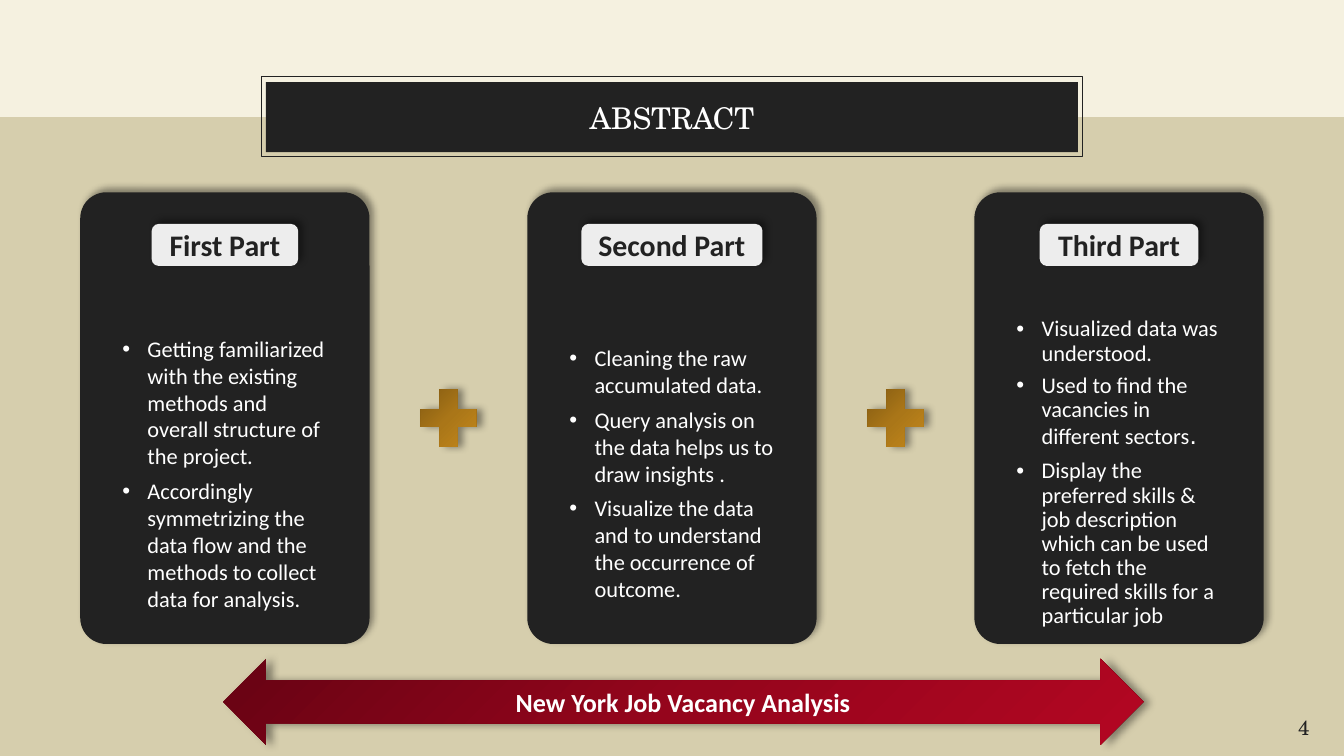
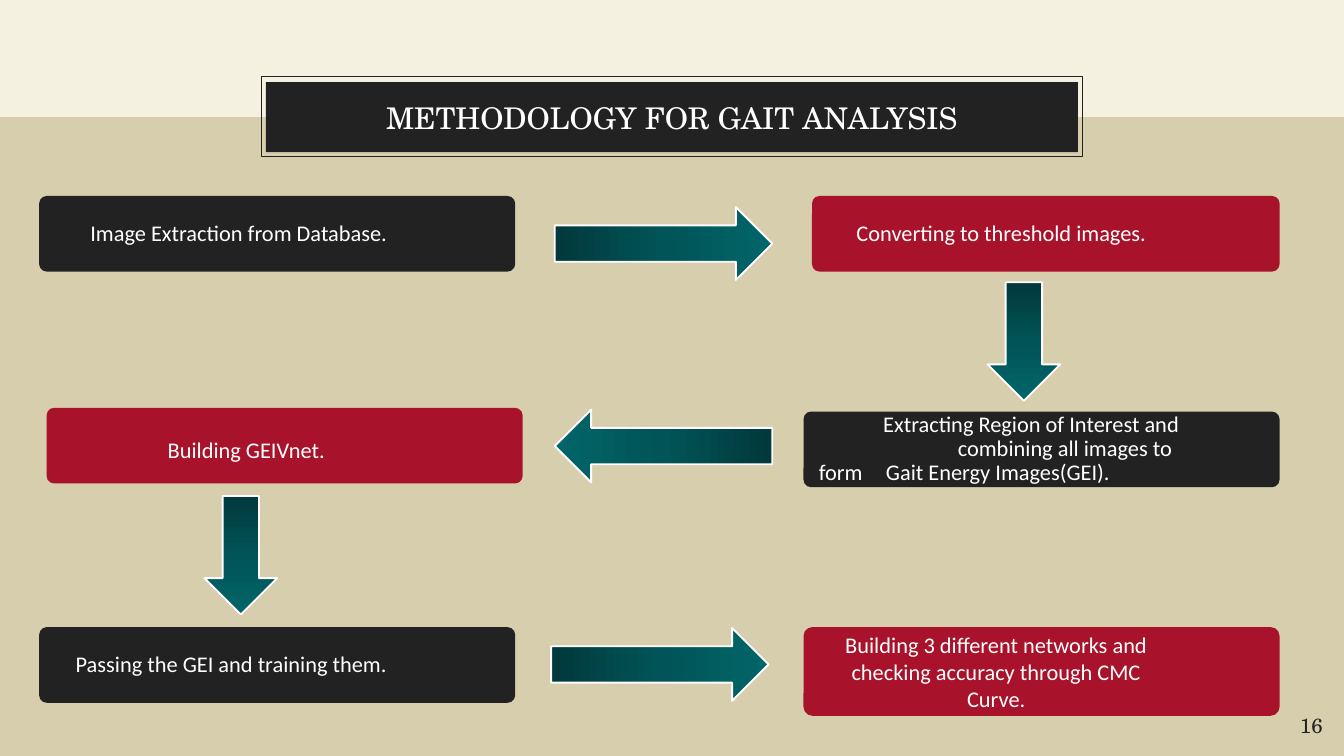
from dataclasses import dataclass
from typing import NamedTuple, Optional

import lxml.etree
import pptx
import pptx.dml.color
import pptx.enum.shapes
import pptx.enum.text
import pptx.oxml.ns
import pptx.presentation
import pptx.shapes.autoshape
import pptx.shapes.base
import pptx.slide
import pptx.text.text
import pptx.util

Pt = pptx.util.Pt
qn = pptx.oxml.ns.qn
Shapes = pptx.enum.shapes.MSO_SHAPE
Align = pptx.enum.text.PP_ALIGN
Shape = pptx.shapes.autoshape.Shape
Slide = pptx.slide.Slide


@dataclass(frozen=True)
class Theme:
    sand: str = "D6CEAD"
    cream: str = "F5F1E0"
    ink: str = "222222"
    white: str = "FFFFFF"
    label: str = "EDEDED"
    crimson: str = "A8122A"
    red_gradient: tuple = ("670313", "95051C", "B30622")
    gold_gradient: tuple = ("755110", "AA7618", "CC8E1D")
    teal_gradient: tuple = ("01393C", "015457", "026569")
    heading_font: str = "TeX Gyre Schola"
    body_font: str = "Calibri"
    mark_font: str = "Arial"
    title_size: float = 16
    label_size: float = 16
    banner_size: float = 14
    mark_size: float = 14
    body_size: float = 12
    number_size: float = 11


THEME = Theme()


class Box(NamedTuple):
    left: float
    top: float
    width: float
    height: float


class Insets(NamedTuple):
    left: float = 7.2
    top: float = 3.6
    right: float = 7.2
    bottom: float = 3.6


class Bullet(NamedTuple):
    text: str
    space_before: float = 4.2
    end_mark: str = ""


class Card(NamedTuple):
    label: str
    label_width: float
    bullets: list[Bullet]
    line_spacing: float = 1.0


class Line(NamedTuple):
    text: str
    indent: Optional[float] = None  # None centres the line
    tab_stop: Optional[float] = None


class Step(NamedTuple):
    box: Box
    color: str
    insets: Insets
    lines: list[Line]
    line_spacing: float = 0.9


class FlowArrow(NamedTuple):
    center_x: float
    center_y: float
    length: float
    rotation: float = 0
    flipped: bool = False


FIRST_CARD = Box(43, 103, 155, 242)
CARD_PITCH = 239.5
CARD_INSET = 22.5
LIST_TOP, LIST_HEIGHT = 165, 177
LABEL_TOP, LABEL_HEIGHT = 120, 22.5
PLUS_WIDTH, PLUS_HEIGHT = 40.5, 42
ARROW_HEIGHT = 39

CARDS = [
    Card("First Part", 78.5, [
        Bullet("Getting familiarized with the existing methods and overall structure of the project.", 0),
        Bullet("Accordingly symmetrizing the data flow and the methods to collect data for analysis."),
    ]),
    Card("Second Part", 97, [
        Bullet("Cleaning the raw accumulated data.", 0),
        Bullet("Query analysis on the data helps us to draw insights ."),
        Bullet("Visualize the data and to understand the occurrence of outcome."),
    ]),
    Card("Third Part", 85, [
        Bullet("Visualized data was understood.", 0),
        Bullet("Used to ﬁnd the vacancies in different sectors", end_mark="."),
        Bullet("Display the preferred skills & job description which can be used to fetch "
               "the required skills for a particular job", 4.9),
    ], 0.9),
]

STEPS = [
    Step(Box(21, 105, 255, 40.5), THEME.ink, Insets(5, 5, 46, 5),
         [Line("Image Extraction from Database.")]),
    Step(Box(435, 105, 250.5, 40.5), THEME.crimson, Insets(5, 5, 52.5, 5),
         [Line("Converting to threshold images.")]),
    Step(Box(430.5, 220.5, 255, 40.5), THEME.ink, Insets(5, 5, 5, 5), [
        Line("Extracting Region of Interest and", 36.5),
        Line("combining all images to", 76.5),
        Line("form\tGait Energy Images(GEI).", 2, 74),
    ]),
    Step(Box(25, 218.5, 255, 40.5), THEME.crimson, Insets(8, 14, 49, 8),
         [Line("Building GEIVnet.")]),
    Step(Box(21, 336, 255, 40.5), THEME.ink, Insets(8, 8, 57, 8),
         [Line("Passing the GEI and training them.")]),
    Step(Box(430.5, 336, 255, 47.5), THEME.crimson, Insets(7.5, 8, 56, 8),
         [Line("Building 3 different networks and checking accuracy through CMC Curve.")], 1.0),
]

FLOW_ARROWS = [
    FlowArrow(355.5, 130.5, 116.5),
    FlowArrow(548.5, 183, 63.5, rotation=90),
    FlowArrow(355.5, 239, 116.5, flipped=True),
    FlowArrow(129, 297.5, 63.5, rotation=90),
    FlowArrow(353.5, 356, 116.5),
]


def rgb(color: str) -> pptx.dml.color.RGBColor:
    return pptx.dml.color.RGBColor.from_string(color)


def place(shape: pptx.shapes.base.BaseShape, box: Box) -> None:
    shape.left, shape.top, shape.width, shape.height = (Pt(length) for length in box)


def add_shape(slide: Slide, kind: Shapes, box: Box, color: Optional[str] = None,
              corner: Optional[float] = None) -> Shape:
    """Add a preset shape without line or shadow."""
    shape = slide.shapes.add_shape(kind, *(Pt(length) for length in box))
    shape.shadow.inherit = False
    shape.line.fill.background()
    if color:
        shape.fill.solid()
        shape.fill.fore_color.rgb = rgb(color)
    else:
        shape.fill.background()
    if corner is not None:
        shape.adjustments[0] = corner
    return shape


def add_shadow(shape: Shape, angle: int) -> None:
    effects = shape.element.spPr.find(qn("a:effectLst"))
    shadow = lxml.etree.SubElement(
        effects, qn("a:outerShdw"), blurRad=str(Pt(4)), dist=str(Pt(3)),
        dir=str(angle * 60000), algn="bl", rotWithShape="0")
    color = lxml.etree.SubElement(shadow, qn("a:srgbClr"), val="000000")
    lxml.etree.SubElement(color, qn("a:alpha"), val="40000")


def fill_gradient(shape: Shape, colors: tuple, angle: int) -> None:
    """Spread the colours evenly along a clockwise angle."""
    shape.fill.gradient()
    shape.fill.gradient_angle = (360 - angle) % 360
    stops = shape.element.spPr.find(qn("a:gradFill")).find(qn("a:gsLst"))
    for stop in list(stops):
        stops.remove(stop)
    for index, color in enumerate(colors):
        position = index * 100000 // (len(colors) - 1)
        stop = lxml.etree.SubElement(stops, qn("a:gs"), pos=str(position))
        lxml.etree.SubElement(stop, qn("a:srgbClr"), val=color)


def set_frame(shape: pptx.shapes.base.BaseShape, insets: Insets,
              anchor=pptx.enum.text.MSO_ANCHOR.MIDDLE) -> pptx.text.text.TextFrame:
    frame = shape.text_frame
    frame.word_wrap = True
    frame.auto_size = pptx.enum.text.MSO_AUTO_SIZE.NONE
    frame.vertical_anchor = anchor
    frame.margin_left, frame.margin_top, frame.margin_right, frame.margin_bottom = map(Pt, insets)
    return frame


def format_run(run, size: float, color: str, font: str = THEME.body_font, bold: bool = False) -> None:
    run.font.name, run.font.size, run.font.bold = font, Pt(size), bold
    run.font.color.rgb = rgb(color)


def set_centered(frame: pptx.text.text.TextFrame, text: str, size: float, color: str,
                 font: str = THEME.body_font, bold: bool = False) -> None:
    frame.text = text
    paragraph = frame.paragraphs[0]
    paragraph.alignment = Align.CENTER
    format_run(paragraph.runs[0], size, color, font, bold)


def indent(paragraph, left: float, first: float = 0):
    properties = paragraph._p.get_or_add_pPr()
    properties.set("marL", str(Pt(left)))
    properties.set("indent", str(Pt(first)))
    return properties


def next_paragraph(frame: pptx.text.text.TextFrame, index: int):
    return frame.add_paragraph() if index else frame.paragraphs[0]


def build_master(presentation: pptx.presentation.Presentation, slide: Slide) -> None:
    """Give the master its background, top band and title frame."""
    master = presentation.slide_master
    master.background.fill.solid()
    master.background.fill.fore_color.rgb = rgb(THEME.sand)
    band = add_shape(slide, Shapes.RECTANGLE, Box(0, 0, 720, 62.7), THEME.cream)
    frame = add_shape(slide, Shapes.RECTANGLE, Box(140, 41, 440, 43))
    frame.line.color.rgb = rgb(THEME.ink)
    frame.line.width = Pt(0.75)
    for shape in (band, frame):
        master.shapes.element.append(shape.element)


def add_heading(slide: Slide, title: str, number: str, number_box: Box) -> None:
    heading = slide.shapes.title
    place(heading, Box(142.5, 44, 435, 37.5))
    heading.fill.solid()
    heading.fill.fore_color.rgb = rgb(THEME.ink)
    margins = Insets(7.2, 7.2, 7.2, 7.2)
    set_centered(set_frame(heading, margins), title, THEME.title_size, THEME.white, THEME.heading_font)
    number_text = slide.shapes.add_textbox(*(Pt(length) for length in number_box))
    set_centered(set_frame(number_text, margins, pptx.enum.text.MSO_ANCHOR.TOP),
                 number, THEME.number_size, THEME.ink, THEME.heading_font)


def write_bullets(frame: pptx.text.text.TextFrame, card: Card) -> None:
    for index, bullet in enumerate(card.bullets):
        paragraph = next_paragraph(frame, index)
        paragraph.text = bullet.text
        format_run(paragraph.runs[0], THEME.body_size, THEME.white)
        if bullet.end_mark:
            mark = paragraph.add_run()
            mark.text = bullet.end_mark
            format_run(mark, THEME.mark_size, THEME.white, THEME.mark_font)
        paragraph.alignment = Align.LEFT
        paragraph.line_spacing = card.line_spacing
        paragraph.space_before = Pt(bullet.space_before)
        properties = indent(paragraph, 13.5, -13.5)
        color = lxml.etree.SubElement(properties, qn("a:buClr"))
        lxml.etree.SubElement(color, qn("a:srgbClr"), val=THEME.white)
        lxml.etree.SubElement(properties, qn("a:buFont"), typeface=THEME.mark_font)
        lxml.etree.SubElement(properties, qn("a:buChar"), char="•")


def add_card(slide: Slide, card: Card, left: float, body) -> None:
    """Draw a card and lay the body placeholder over it."""
    box = FIRST_CARD._replace(left=left)
    add_shadow(add_shape(slide, Shapes.ROUNDED_RECTANGLE, box, THEME.ink, 0.09), 315)
    label_left = left + (box.width - card.label_width) / 2
    label = add_shape(slide, Shapes.ROUNDED_RECTANGLE,
                      Box(label_left, LABEL_TOP, card.label_width, LABEL_HEIGHT), THEME.label, 0.17)
    add_shadow(label, 315)
    set_centered(set_frame(label, Insets()), card.label, THEME.label_size, THEME.ink, bold=True)
    slide.shapes.element.append(body.element)
    place(body, Box(left + CARD_INSET, LIST_TOP, box.width - 2 * CARD_INSET, LIST_HEIGHT))
    write_bullets(set_frame(body, Insets(0, 0, 0, 0)), card)


def add_glossy(slide: Slide, kind: Shapes, box: Box, colors: tuple) -> Shape:
    shape = add_shape(slide, kind, box)
    fill_gradient(shape, colors, 45)
    add_shadow(shape, 0)
    return shape


def build_abstract(slide: Slide) -> None:
    add_heading(slide, "ABSTRACT", "4", Box(677, 376, 43, 24))
    bodies = [shape for shape in slide.placeholders if shape.placeholder_format.idx > 0]
    for spare in bodies[len(CARDS):]:
        spare.element.getparent().remove(spare.element)
    for index, card in enumerate(CARDS):
        left = FIRST_CARD.left + index * CARD_PITCH
        add_card(slide, card, left, bodies[index])
        if index:
            gap_center = left - (CARD_PITCH - FIRST_CARD.width) / 2
            plus = Box(gap_center - PLUS_WIDTH / 2, 203, PLUS_WIDTH, PLUS_HEIGHT)
            add_glossy(slide, Shapes.MATH_PLUS, plus, THEME.gold_gradient)
    banner = add_glossy(slide, Shapes.LEFT_RIGHT_ARROW, Box(119.5, 353, 493, 46), THEME.red_gradient)
    set_centered(set_frame(banner, Insets()), "New York Job Vacancy Analysis",
                 THEME.banner_size, THEME.white, bold=True)


def add_step(slide: Slide, step: Step) -> None:
    shape = add_shape(slide, Shapes.ROUNDED_RECTANGLE, step.box, step.color, 0.1)
    frame = set_frame(shape, step.insets)
    for index, line in enumerate(step.lines):
        paragraph = next_paragraph(frame, index)
        paragraph.text = line.text
        paragraph.line_spacing = step.line_spacing
        paragraph.alignment = Align.CENTER if line.indent is None else Align.LEFT
        format_run(paragraph.runs[0], THEME.body_size, THEME.white)
        properties = indent(paragraph, line.indent or 0)
        if line.tab_stop:
            tabs = lxml.etree.SubElement(properties, qn("a:tabLst"))
            lxml.etree.SubElement(tabs, qn("a:tab"), pos=str(Pt(line.tab_stop)), algn="l")


def add_flow_arrow(slide: Slide, arrow: FlowArrow) -> None:
    box = Box(arrow.center_x - arrow.length / 2, arrow.center_y - ARROW_HEIGHT / 2,
              arrow.length, ARROW_HEIGHT)
    shape = add_shape(slide, Shapes.RIGHT_ARROW, box)
    fill_gradient(shape, THEME.teal_gradient, 0)
    shape.line.color.rgb = rgb(THEME.white)
    shape.line.width = Pt(1)
    shape.rotation = arrow.rotation
    if arrow.flipped:
        shape.element.spPr.find(qn("a:xfrm")).set("flipH", "1")


def build_methodology(slide: Slide) -> None:
    add_heading(slide, "METHODOLOGY FOR GAIT ANALYSIS", "16", Box(685.5, 375, 34, 24))
    for step in STEPS:
        add_step(slide, step)
    for arrow in FLOW_ARROWS:
        add_flow_arrow(slide, arrow)


def main() -> None:
    presentation = pptx.Presentation()
    presentation.slide_width, presentation.slide_height = Pt(720), Pt(405)
    layouts = presentation.slide_layouts
    abstract = presentation.slides.add_slide(layouts.get_by_name("Comparison"))
    build_master(presentation, abstract)
    build_abstract(abstract)
    build_methodology(presentation.slides.add_slide(layouts.get_by_name("Title Only")))
    presentation.save("out.pptx")


if __name__ == "__main__":
    main()
